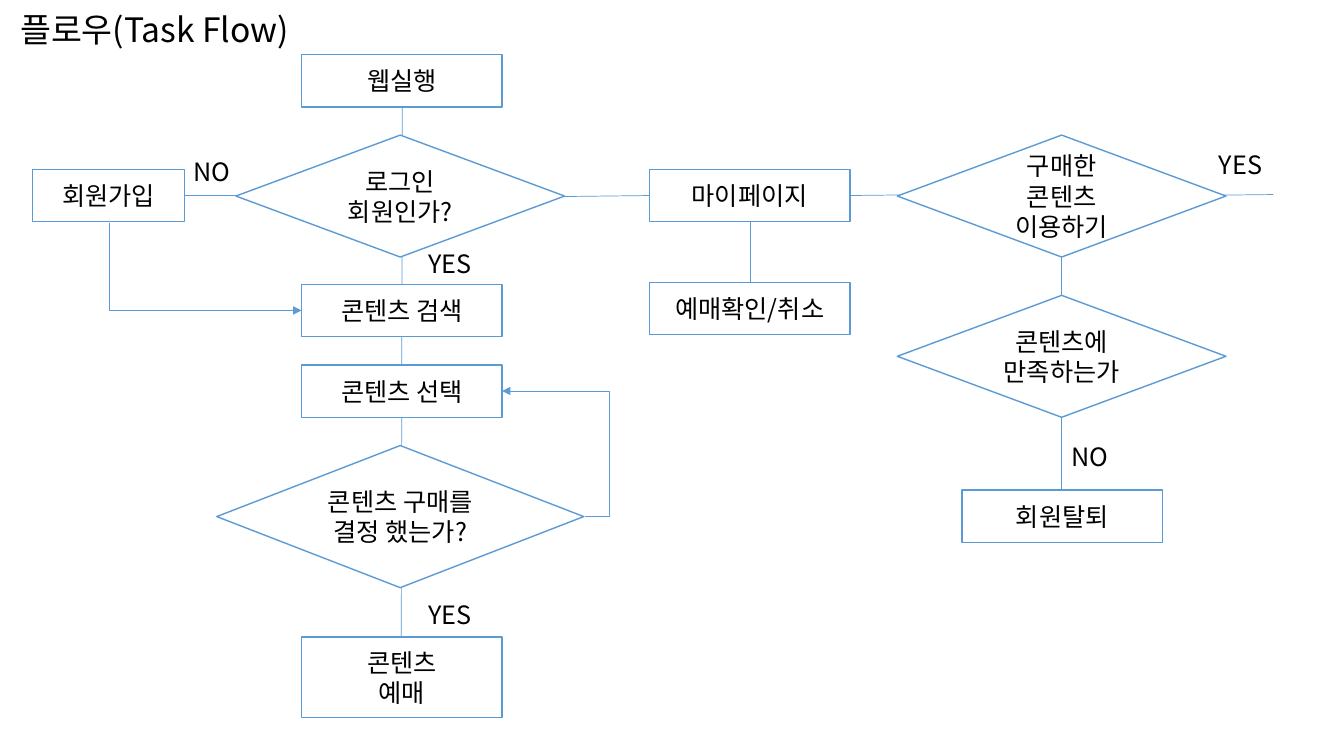
from lxml.etree import SubElement
from pptx import Presentation
from pptx.dml.color import RGBColor
from pptx.enum.shapes import MSO_CONNECTOR as CONN, MSO_SHAPE as SHAPE
from pptx.enum.text import MSO_ANCHOR as ANCHOR, MSO_AUTO_SIZE as AUTO, PP_ALIGN as ALIGN
from pptx.oxml.ns import qn
from pptx.util import Inches, Pt


def color(value):
    return RGBColor.from_string(value)


def write(tf, text, size=18, font="Noto Sans CJK KR", fg="000000",
          align=ALIGN.LEFT, anchor=ANCHOR.TOP, spacing=None):
    tf.word_wrap = True
    tf.vertical_anchor = anchor
    for i, line in enumerate(text.split("\n")):
        p = tf.add_paragraph() if i else tf.paragraphs[0]
        p.alignment = align
        p.line_spacing = spacing
        r = p.add_run()
        r.text = line
        r.font.size = Pt(size)
        r.font.name = font
        r.font.color.rgb = color(fg)
        SubElement(r.font._element, qn("a:ea"), typeface=font)


class FlowSlide:
    """Holds the flowchart style and the slide being drawn."""

    stroke = "5B9BD5"
    fill = "FFFFFF"
    box_w, box_h = 1.99, 0.52

    def __init__(self, prs):
        self.slide = prs.slides.add_slide(prs.slide_layouts[5])

    def title(self, text, x, y, w, h):
        sp = self.slide.shapes.title
        sp.left, sp.top, sp.width, sp.height = map(Inches, (x, y, w, h))
        sp.text_frame.auto_size = AUTO.NONE
        write(sp.text_frame, text, size=24, spacing=0.9)

    def node(self, kind, text, x, y, w, h):
        sp = self.slide.shapes.add_shape(kind, *map(Inches, (x, y, w, h)))
        sp.shadow.inherit = False
        sp.fill.solid()
        sp.fill.fore_color.rgb = color(self.fill)
        sp.line.color.rgb = color(self.stroke)
        sp.line.width = Pt(1)
        write(sp.text_frame, text, align=ALIGN.CENTER, anchor=ANCHOR.MIDDLE)

    def box(self, text, x, y, w=box_w, h=box_h):
        self.node(SHAPE.RECTANGLE, text, x, y, w, h)

    def decision(self, text, x, y, w=3.26, h=1.21):
        self.node(SHAPE.DIAMOND, text, x, y, w, h)

    def label(self, text, x, y):
        sp = self.slide.shapes.add_textbox(*map(Inches, (x, y, 0.82, 0.4)))
        write(sp.text_frame, text)
        sp.text_frame.auto_size = AUTO.SHAPE_TO_FIT_TEXT

    def line(self, x1, y1, x2, y2, kind=CONN.STRAIGHT):
        cn = self.slide.shapes.add_connector(kind, *map(Inches, (x1, y1, x2, y2)))
        cn.line.color.rgb = color(self.stroke)
        cn.line.width = Pt(0.5)
        SubElement(cn._element.spPr, qn("a:effectLst"))
        return cn

    def elbow_arrow(self, x1, y1, x2, y2, bend):
        cn = self.line(x1, y1, x2, y2, CONN.ELBOW)
        SubElement(cn.line._get_or_add_ln(), qn("a:tailEnd"), type="triangle")
        guides = cn._element.spPr.find(qn("a:prstGeom")).get_or_add_avLst()
        SubElement(guides, qn("a:gd"), name="adj1", fmla=f"val {round(bend * 100000)}")


def main():
    prs = Presentation()
    prs.slide_width, prs.slide_height = Inches(13.33), Inches(7.5)
    s = FlowSlide(prs)
    main_x, my_page_x, content_x = 2.99, 6.44, 8.9
    my_page_mid, content_mid = 7.44, 10.53

    for ends in (
        (content_mid, 2.54, content_mid, 3.3),
        (12.63, 1.93, 11.78, 1.94),
        (9.29, 1.93, 8.43, 1.94),
        (3.99, 1.06, 3.98, 6.32),
        (2.34, 1.94, 1.83, 1.94),
        (my_page_x, 1.94, 5.58, 1.95),
        (my_page_mid, 2.2, my_page_mid, 2.8),
        (content_mid, 4.14, content_mid, 4.89),
    ):
        s.line(*ends)

    s.box("웹실행", main_x, 0.54)
    s.decision("로그인\n회원인가?", 2.34, 1.34)
    s.box("회원가입", 0.32, 1.68, w=1.51)
    s.box("콘텐츠 검색", main_x, 2.82)
    s.box("콘텐츠 선택", main_x, 3.62)
    s.decision("콘텐츠 구매를 결정 했는가?", 2.15, 4.42, w=3.64, h=1.41)
    s.box("콘텐츠\n예매", main_x, 6.32, h=0.8)

    s.box("마이페이지", my_page_x, 1.68)
    s.box("예매확인/취소", my_page_x, 2.8)

    s.decision("구매한 콘텐츠 이용하기", content_x, 1.34)
    s.decision("콘텐츠에\n만족하는가", content_x, 2.93)
    s.box("회원탈퇴", 9.54, 4.86)

    s.elbow_arrow(1.08, 2.21, main_x, 3.08, bend=0)
    s.elbow_arrow(5.8, 5.12, 4.98, 3.88, bend=-0.3)

    for text, x, y in (
        ("NO", 1.82, 1.5),
        ("YES", 4.15, 2.41),
        ("YES", 4.15, 5.9),
        ("YES", 11.99, 1.43),
        ("NO", content_mid, 4.33),
    ):
        s.label(text, x, y)

    s.title("플로우(Task Flow)", 0.1, 0.08, 5.34, 0.81)
    prs.save("out.pptx")


if __name__ == "__main__":
    main()
